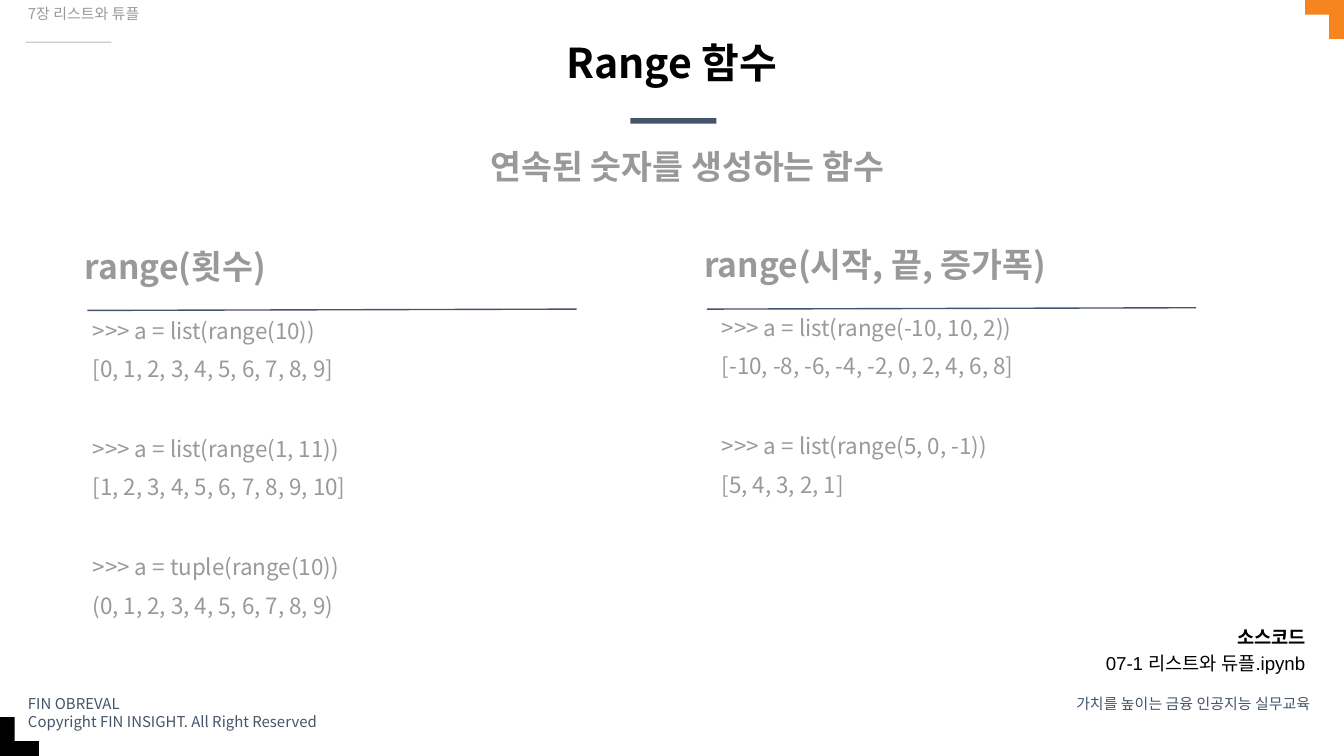
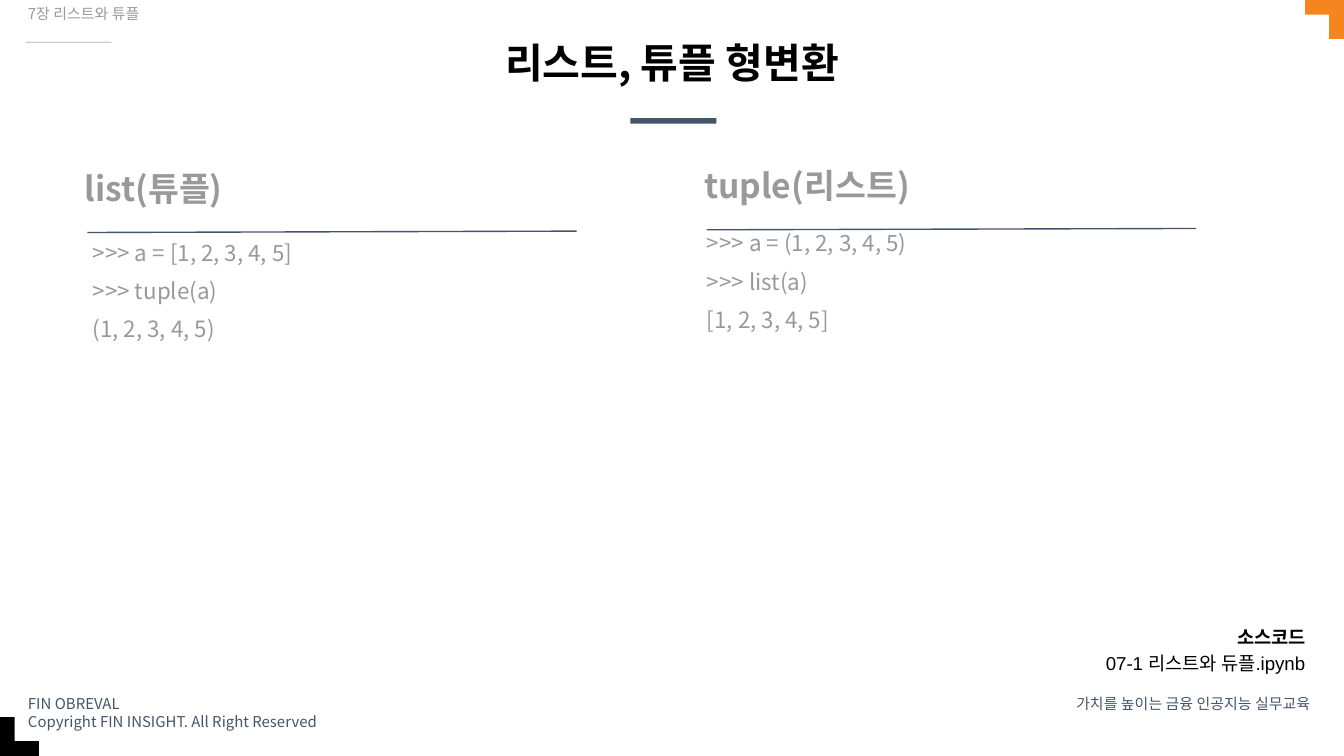
import pptx
import pptx.util
import pptx.dml.color
import pptx.enum.shapes
import pptx.enum.text
import pptx.oxml
import pptx.oxml.ns

COLORS = {"ink": "000000", "navy": "44546A", "grey": "999999",
          "rule": "CCCCCC", "orange": "F6841F"}
SANS = "Noto Sans CJK KR"
ALIGN = pptx.enum.text.PP_ALIGN
FIT = pptx.enum.text.MSO_AUTO_SIZE

# The slide is a grid of 100 columns by 56.25 rows with square cells.
COLUMNS, ROWS = 100, 56.25
CELL = pptx.util.Inches(0.1)

BODY_INSETS = (0.1, 0.05)
STYLES = {
    "title": {"size": 22, "bold": True, "color": "ink", "align": ALIGN.CENTER,
              "line": 0.9, "insets": (0.04, 0.02)},
    "chapter": {"size": 8, "color": "grey", "line": 0.9},
    "heading": {"size": 18, "bold": True, "color": "grey", "line": 0.9},
    "lead": {"size": 18, "bold": True, "color": "grey", "align": ALIGN.CENTER, "line": 0.9},
    "code": {"size": 12, "color": "grey", "line": 0.9, "before": 7.5, "group_gap": 30,
             "fit": FIT.TEXT_TO_FIT_SHAPE},
    "footer": {"size": 8, "color": "navy"},
    "slogan": {"size": 8, "color": "navy", "align": ALIGN.RIGHT},
    "source": {"size": 10, "color": "ink", "align": ALIGN.RIGHT, "line": 1.15,
               "font": "Arial", "insets": (0.1, 0.1), "bold_first": True},
}

SLIDES = [
    {"title": "Range 함수", "lead": "연속된 숫자를 생성하는 함수", "panels": [
        {"at": (5.3, 18.1), "heading": "range(횟수)", "code_at": (0.6, 5.2), "code_rows": 26.3,
         "code": [[">>> a = list(range(10))", "[0, 1, 2, 3, 4, 5, 6, 7, 8, 9]"],
                  [">>> a = list(range(1, 11))", "[1, 2, 3, 4, 5, 6, 7, 8, 9, 10]"],
                  [">>> a = tuple(range(10))", "(0, 1, 2, 3, 4, 5, 6, 7, 8, 9)"]]},
        {"at": (51.4, 18), "heading": "range(시작, 끝, 증가폭)", "code_at": (1.3, 5.1),
         "code_rows": 22.2,
         "code": [[">>> a = list(range(-10, 10, 2))", "[-10, -8, -6, -4, -2, 0, 2, 4, 6, 8]"],
                  [">>> a = list(range(5, 0, -1))", "[5, 4, 3, 2, 1]"]]}]},
    {"title": "리스트, 튜플 형변환", "lead": None, "panels": [
        {"at": (5.3, 12.3), "heading": "list(튜플)", "code_at": (0.6, 5.2), "code_rows": 11.8,
         "code": [[">>> a = [1, 2, 3, 4, 5]", ">>> tuple(a)", "(1, 2, 3, 4, 5)"]]},
        {"at": (51.4, 12.1), "heading": "tuple(리스트)", "code_at": (0.2, 4.7), "code_rows": 11.8,
         "code": [[">>> a = (1, 2, 3, 4, 5)", ">>> list(a)", "[1, 2, 3, 4, 5]"]]}]},
]


def cells(*lengths):
    return [round(length * CELL) for length in lengths]


def rgb(name):
    return pptx.dml.color.RGBColor.from_string(COLORS[name])


def set_all(target, values):
    for name, value in values.items():
        setattr(target, name, value)


def style_span(span, style, bold):
    set_all(span.font, {"name": style.get("font", SANS), "bold": bold,
                        "size": pptx.util.Pt(style["size"])})
    span.font.color.rgb = rgb(style["color"])
    east_asian = pptx.oxml.parse_xml(
        f'<a:ea {pptx.oxml.ns.nsdecls("a")} typeface="{style.get("font", SANS)}"/>')
    span.font._element.find(pptx.oxml.ns.qn("a:latin")).addnext(east_asian)


def write(box, style_name, groups):
    """Fill a box with groups of lines, with a wider gap between groups."""
    style = STYLES[style_name]
    frame = box.text_frame
    side, edge = map(pptx.util.Inches, style.get("insets", BODY_INSETS))
    set_all(frame, {"margin_left": side, "margin_right": side,
                    "margin_top": edge, "margin_bottom": edge, "word_wrap": True,
                    "vertical_anchor": pptx.enum.text.MSO_ANCHOR.TOP,
                    "auto_size": style.get("fit", FIT.NONE)})
    lines = [(line, group > 0 and index == 0)
             for group, block in enumerate(groups) for index, line in enumerate(block)]
    for number, (line, opens_group) in enumerate(lines):
        para = frame.add_paragraph() if number else frame.paragraphs[0]
        properties = para._p.get_or_add_pPr()
        properties.set("marL", "0")
        properties.set("indent", "0")
        properties.append(pptx.oxml.parse_xml(f'<a:buNone {pptx.oxml.ns.nsdecls("a")}/>'))
        before = style["group_gap"] if opens_group else style.get("before", 0)
        set_all(para, {"alignment": style.get("align", ALIGN.LEFT),
                       "line_spacing": style.get("line", 1.0),
                       "space_before": pptx.util.Pt(before if number else 0)})
        span = para.add_run()
        span.text = line
        style_span(span, style, style.get("bold", False)
                   or (number == 0 and style.get("bold_first", False)))


def add_text(page, area, style_name, *lines):
    write(page.shapes.add_textbox(*cells(*area)), style_name, [lines])


def fill_placeholder(page, index, area, style_name, groups):
    box = page.placeholders[index]
    set_all(box, dict(zip(("left", "top", "width", "height"), cells(*area))))
    write(box, style_name, groups)


def add_bar(page, area, color):
    bar = page.shapes.add_shape(pptx.enum.shapes.MSO_SHAPE.RECTANGLE, *cells(*area))
    bar.shadow.inherit = False
    bar.fill.solid()
    bar.fill.fore_color.rgb = rgb(color)
    bar.line.fill.background()


def add_corner(page, right, bottom, color):
    """Draw an L of two bars in the chosen corner of the slide."""
    for width, height in ((2.9, 1.1), (1.1, 2.9)):
        add_bar(page, (right * (COLUMNS - width), bottom * (ROWS - height), width, height), color)


def add_frame(page):
    """Draw everything that is the same on each slide."""
    add_bar(page, (46.9, 8.8, 6.4, 0.4), "navy")
    add_bar(page, (1.9, 3.1, 6.4, 0.1), "rule")
    add_corner(page, 0, 1, "ink")
    add_corner(page, 1, 0, "orange")
    add_text(page, (1.1, 0, 28.4, 4), "chapter", "7장 리스트와 튜플")
    add_text(page, (1.1, 51.2, 29.8, 2.7), "footer",
             "FIN OBREVAL", "Copyright FIN INSIGHT. All Right Reserved")
    add_text(page, (77.6, 51.2, 20.9, 1.7), "slogan", "가치를 높이는 금융 인공지능 실무교육")
    add_text(page, (72.4, 45.3, 25.7, 5.9), "source", "소스코드", "07-1 리스트와 듀플.ipynb")


def add_panel(page, heading_index, panel):
    """Place a heading, a rule and code relative to the panel's corner."""
    left, top = panel["at"]
    fill_placeholder(page, heading_index, (left, top, 43.7, 4.8), "heading", [[panel["heading"]]])
    rule = page.shapes.add_connector(
        pptx.enum.shapes.MSO_CONNECTOR.STRAIGHT,
        *cells(left + 1.2, top + 5, left + 37.6, top + 4.9))
    rule.line.color.rgb = rgb("navy")
    rule.line.width = pptx.util.Pt(0.75)
    rule._element.spPr.append(pptx.oxml.parse_xml(
        f'<a:effectLst {pptx.oxml.ns.nsdecls("a")}/>'))
    right, down = panel["code_at"]
    fill_placeholder(page, heading_index + 1,
                     (left + right, top + down, 38.3, panel["code_rows"]), "code", panel["code"])


def add_comparison(deck, content):
    page = deck.slides.add_slide(deck.slide_layouts.get_by_name("Comparison"))
    add_frame(page)
    fill_placeholder(page, 0, (10.9, 3, 78.2, 4), "title", [[content["title"]]])
    if content["lead"]:
        add_text(page, (23, 10.7, 56.3, 5.4), "lead", content["lead"])
    for heading_index, panel in zip((1, 3), content["panels"]):
        add_panel(page, heading_index, panel)


def main():
    deck = pptx.Presentation()
    deck.slide_width, deck.slide_height = cells(COLUMNS, ROWS)
    for content in SLIDES:
        add_comparison(deck, content)
    deck.save("out.pptx")


if __name__ == "__main__":
    main()
